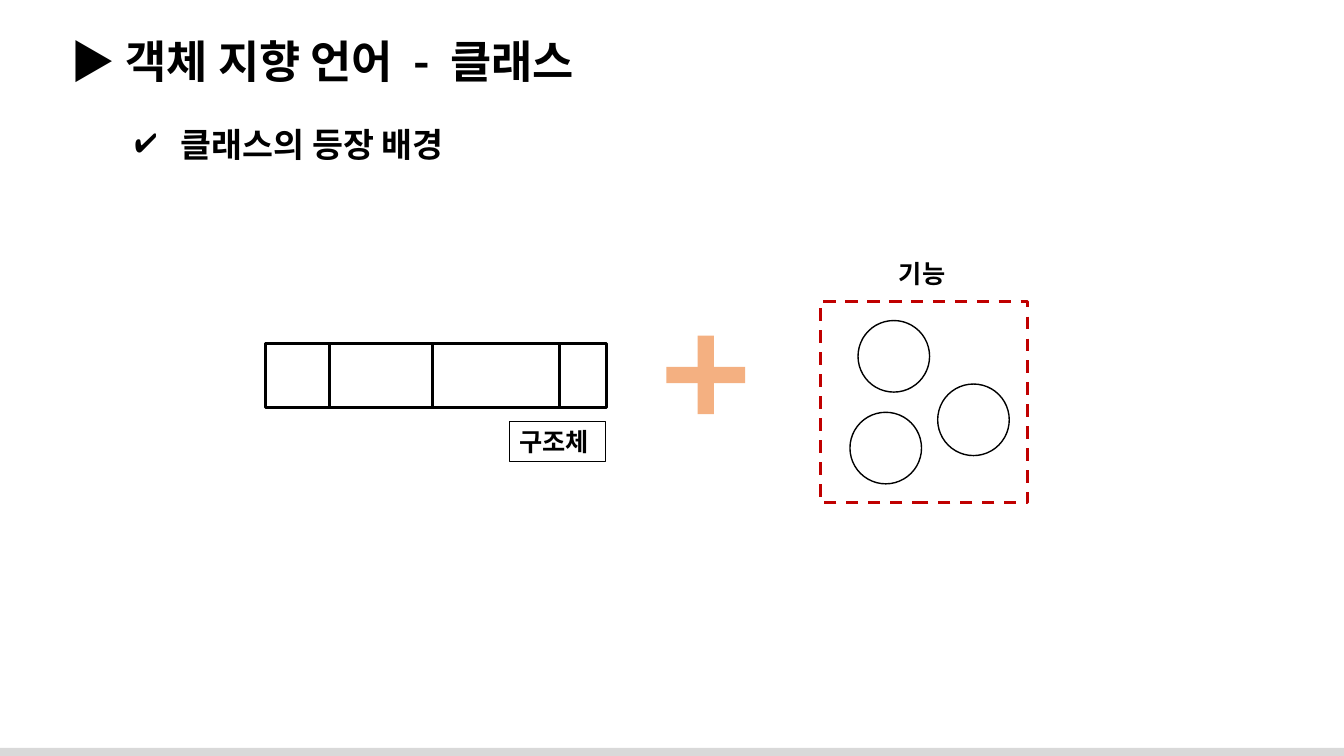
from lxml import etree
from pptx import Presentation, util as u
from pptx.dml.color import RGBColor
from pptx.enum import dml, shapes, text
from pptx.oxml.ns import qn

FONT = "Noto Sans CJK KR"
BLACK, RED, ORANGE, GREY = "000000", "C00000", "F4B081", "D9D9D9"
KIND = shapes.MSO_SHAPE


def draw(parent, kind, box, fill=None, line=None, width=1):
    shape = parent.add_shape(kind, *[u.Inches(length) for length in box])
    shape.shadow.inherit = False
    if fill:
        shape.fill.solid()
        shape.fill.fore_color.rgb = RGBColor.from_string(fill)
    else:
        shape.fill.background()
    if line:
        shape.line.color.rgb = RGBColor.from_string(line)
        shape.line.width = u.Pt(width)
    else:
        shape.line.fill.background()
    return shape


def write(shape, runs, size, align=text.PP_ALIGN.LEFT):
    frame = shape.text_frame
    frame_format = {
        "word_wrap": True,
        "vertical_anchor": text.MSO_ANCHOR.MIDDLE,
        "margin_left": u.Inches(0.1),
        "margin_right": u.Inches(0.1),
        "margin_top": u.Inches(0.05),
        "margin_bottom": u.Inches(0.05),
    }
    for name, value in frame_format.items():
        setattr(frame, name, value)
    paragraph = frame.paragraphs[0]
    paragraph.alignment = align
    for words, spacing in runs:
        run = paragraph.add_run()
        run.text = words
        for name, value in {"name": FONT, "size": u.Pt(size), "bold": True}.items():
            setattr(run.font, name, value)
        run.font.color.rgb = RGBColor.from_string(BLACK)
        properties = run.font._element
        etree.SubElement(properties, qn("a:ea")).set("typeface", FONT)
        if spacing:
            properties.set("spc", str(spacing * 100))
    return paragraph


presentation = Presentation()
presentation.slide_width = u.Inches(13.33)
presentation.slide_height = u.Inches(7.5)
slide = presentation.slides.add_slide(presentation.slide_layouts[6])

draw(slide.shapes, KIND.RECTANGLE, (0, 7.42, 13.33, 0.08), fill=GREY)

title = slide.shapes.add_textbox(*[u.Inches(n) for n in (0.6, 0.28, 12.6, 0.64)])
write(title, [("▶ 객체 지향 언어", 0), (" ", 7), ("-", 0), (" ", 7), ("클래스", 0)], 32)

subtitle = slide.shapes.add_textbox(*[u.Inches(n) for n in (1.24, 1.18, 3.63, 0.5)])
paragraph = write(subtitle, [(" 클래스의 등장 배경", 0)], 24)
bullet = paragraph._p.get_or_add_pPr()
bullet.set("marL", str(u.Inches(0.38)))
bullet.set("indent", str(u.Inches(-0.38)))
bullet_color = etree.SubElement(bullet, qn("a:buClr"))
etree.SubElement(bullet_color, qn("a:srgbClr")).set("val", BLACK)
etree.SubElement(bullet, qn("a:buChar")).set("char", "✔")

structure = slide.shapes.add_group_shape().shapes
left = 2.63
for cell_width in (0.64, 1.02, 1.26, 0.47):
    draw(structure, KIND.RECTANGLE, (left, 3.41, cell_width, 0.63), line=BLACK, width=2.25)
    left += cell_width
structure_label = draw(structure, KIND.RECTANGLE, (5.05, 4.18, 0.96, 0.4), line=BLACK, width=0.75)
write(structure_label, [("구조체", 0)], 18)

functions = slide.shapes.add_group_shape().shapes
frame = draw(functions, KIND.RECTANGLE, (8.14, 2.99, 2.05, 2), line=RED, width=2.25)
frame.line.dash_style = dml.MSO_LINE.DASH
function_label = functions.add_textbox(*[u.Inches(n) for n in (8.79, 2.51, 0.71, 0.4)])
write(function_label, [("기능", 0)], 18, text.PP_ALIGN.CENTER)
for left, top in ((8.51, 3.18), (8.43, 4.09), (9.3, 3.81)):
    draw(functions, KIND.OVAL, (left, top, 0.71, 0.71), line=BLACK)

plus = slide.shapes.add_group_shape().shapes
for rotation in (0, 270):
    bar = draw(plus, KIND.RECTANGLE, (6.92, 3.33, 0.16, 0.78), fill=ORANGE)
    bar.rotation = rotation

presentation.save("out.pptx")
